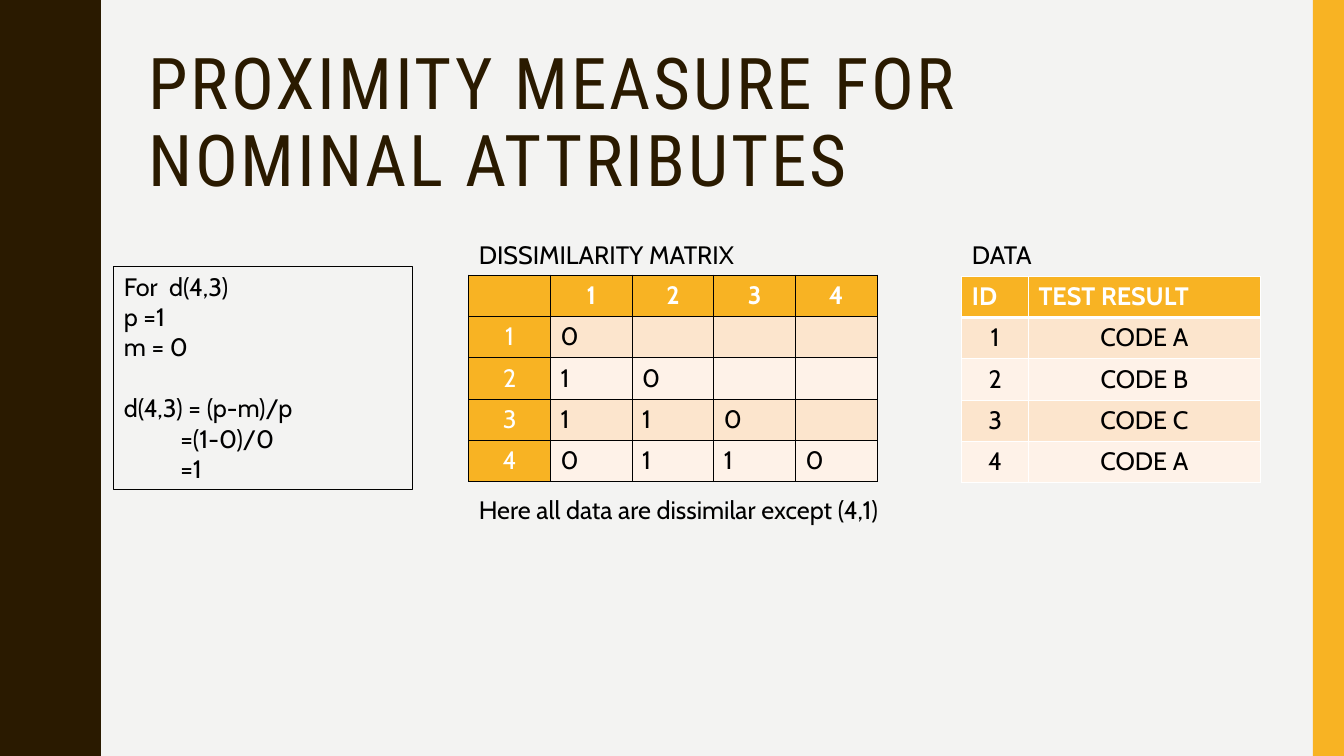
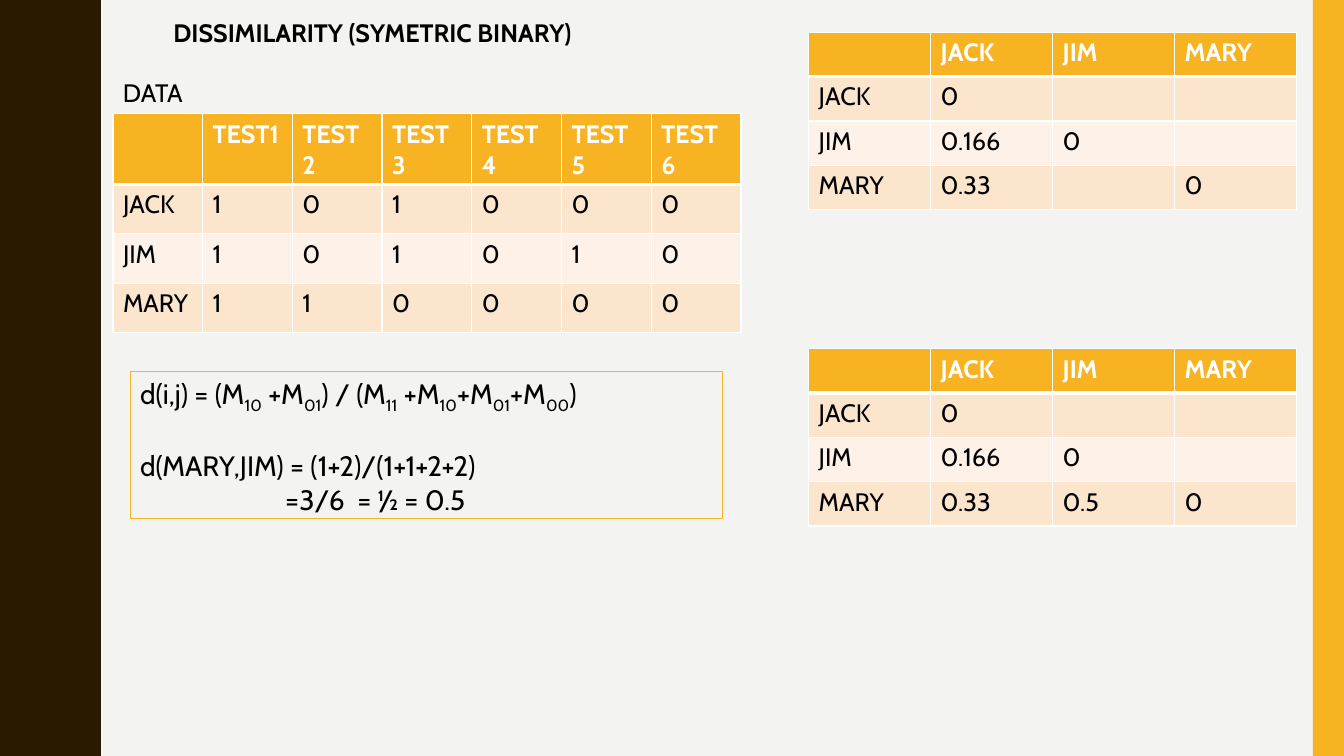
import dataclasses

import lxml.etree
import pptx
import pptx.dml.color
import pptx.enum.shapes
import pptx.enum.text
import pptx.oxml.ns
import pptx.util

Inches = pptx.util.Inches
Pt = pptx.util.Pt
ALIGN = pptx.enum.text.PP_ALIGN
ANCHOR = pptx.enum.text.MSO_ANCHOR
RECTANGLE = pptx.enum.shapes.MSO_SHAPE.RECTANGLE


@dataclasses.dataclass(frozen=True)
class Theme:
    page: str = "F3F3F2"
    dark: str = "2A1A00"
    accent: str = "F8B323"
    band_odd: str = "FCE5CD"
    band_even: str = "FEF2E8"
    black: str = "000000"
    white: str = "FFFFFF"
    title_font: str = "Roboto Condensed"
    body_font: str = "Cabin"
    title_size: int = 51
    body_size: int = 18
    formula_size: int = 20


THEME = Theme()
PAGE_WIDTH, PAGE_HEIGHT = 13.33, 7.5
WAVE_PERIOD = 1.5
HALF_WAVE = [(0.78, 0), (0.78, 0.07), (0.79, 0.14), (0.8, 0.2), (0.81, 0.25),
             (0.83, 0.29), (0.85, 0.33), (0.87, 0.38), (0.89, 0.42), (0.91, 0.46),
             (0.93, 0.5), (0.95, 0.55), (0.96, 0.61), (0.97, 0.68)]


def colour(value):
    return pptx.dml.color.RGBColor.from_string(value)


def paint(fill, value):
    fill.solid()
    fill.fore_color.rgb = colour(value)


def style_run(run, size=THEME.body_size, ink=THEME.black, bold=False, font=THEME.body_font):
    run.font.size = Pt(size)
    run.font.name = font
    run.font.bold = bold
    run.font.color.rgb = colour(ink)


def style_paragraph(para, **style):
    for run in para.runs:
        style_run(run, **style)


def add_side_bands(page):
    """Draw the wavy band on the left and the straight one on the right."""
    crest = WAVE_PERIOD / 2
    wave = HALF_WAVE + [(0.97, crest)] + [(x, WAVE_PERIOD - y) for x, y in HALF_WAVE[:0:-1]]
    periods = int(PAGE_HEIGHT / WAVE_PERIOD)
    edge = [(x, y + period * WAVE_PERIOD) for period in range(periods) for x, y in wave]
    edge += [(HALF_WAVE[0][0], PAGE_HEIGHT), (0, PAGE_HEIGHT)]
    builder = page.shapes.build_freeform(0, 0, scale=Inches(1))
    builder.add_line_segments(edge, close=True)
    wavy_band = builder.convert_to_shape()
    straight_band = page.shapes.add_shape(
        RECTANGLE, Inches(13.02), 0, Inches(0.31), Inches(PAGE_HEIGHT))
    for band, fill in ((wavy_band, THEME.dark), (straight_band, THEME.accent)):
        paint(band.fill, fill)
        band.line.fill.background()
        band.shadow.inherit = False


def add_page(deck):
    page = deck.slides.add_slide(deck.slide_layouts[6])
    add_side_bands(page)
    return page


def add_text(page, text, left, top, width, height=0.4, **style):
    box = page.shapes.add_textbox(Inches(left), Inches(top), Inches(width), Inches(height))
    box.text_frame.word_wrap = True
    box.text_frame.text = text
    style_paragraph(box.text_frame.paragraphs[0], **style)
    return box


def add_title(page, text):
    box = add_text(page, text, 1.37, 0.42, 11.13, 1.63, size=THEME.title_size,
                   ink=THEME.dark, font=THEME.title_font)
    box.text_frame.vertical_anchor = ANCHOR.MIDDLE
    para = box.text_frame.paragraphs[0]
    para.line_spacing = 0.9
    for run in para.runs:
        run.font._element.set("spc", "200")


def add_working_box(page, lines, left, top, width, height, outline, size, gap_before, indents):
    """Outline a calculation; text between underscores is set as subscript.

    gap_before is (line number, points); indents maps line numbers to inches.
    """
    box = page.shapes.add_shape(
        RECTANGLE, Inches(left), Inches(top), Inches(width), Inches(height))
    box.shadow.inherit = False
    box.fill.background()
    box.line.color.rgb = colour(outline)
    box.line.width = Pt(0.75)
    frame = box.text_frame
    frame.word_wrap = True
    frame.vertical_anchor = ANCHOR.TOP
    for number, line in enumerate(lines):
        para = frame.add_paragraph() if number else frame.paragraphs[0]
        para.alignment = ALIGN.LEFT
        for position, piece in enumerate(line.split("_")):
            run = para.add_run()
            run.text = piece
            style_run(run, size=size)
            if position % 2:
                run.font._element.set("baseline", "-25000")
        if number in indents:
            para._p.get_or_add_pPr().set("marL", str(Inches(indents[number])))
    gap_line, gap = gap_before
    frame.paragraphs[gap_line].space_before = Pt(gap)


def set_borders(cell, ink, top=1, bottom=1):
    properties = cell._tc.get_or_add_tcPr()
    qn = pptx.oxml.ns.qn
    for side, width in (("lnL", 1), ("lnR", 1), ("lnT", top), ("lnB", bottom)):
        line = lxml.etree.SubElement(properties, qn("a:" + side), w=str(Pt(width)))
        fill = lxml.etree.SubElement(line, qn("a:solidFill"))
        lxml.etree.SubElement(fill, qn("a:srgbClr"), val=ink)


def add_banded_table(page, rows, left, top, columns, heights, border=THEME.white,
                     rule=3, header_align=ALIGN.LEFT, body_align=ALIGN.LEFT,
                     header_column=False):
    """Add a table with a bold header row; rule is the line below that row, in points."""
    frame = page.shapes.add_table(len(rows), len(columns), Inches(left), Inches(top),
                                  Inches(sum(columns)), Inches(sum(heights)))
    table = frame.table
    table.first_row = table.horz_banding = False
    for column, width in zip(table.columns, columns):
        column.width = Inches(width)
    for row, height in zip(table.rows, heights):
        row.height = Inches(height)
    for r, values in enumerate(rows):
        for c in range(len(columns)):
            cell = table.cell(r, c)
            header = r == 0 or (header_column and c == 0)
            set_borders(cell, border, top=rule if r == 1 else 1, bottom=rule if r == 0 else 1)
            band = THEME.band_odd if r % 2 else THEME.band_even
            paint(cell.fill, THEME.accent if header else band)
            cell.text_frame.text = values[c] if c < len(values) else ""
            para = cell.text_frame.paragraphs[0]
            para.alignment = header_align if header else body_align
            style_paragraph(para, ink=THEME.white if header else THEME.black, bold=r == 0)


def build_nominal_page(deck):
    page = add_page(deck)
    add_title(page, "PROXIMITY MEASURE FOR NOMINAL ATTRIBUTES")
    matrix = [["", "1", "2", "3", "4"], ["1", "0"], ["2", "1", "0"],
              ["3", "1", "1", "0"], ["4", "0", "1", "1", "0"]]
    add_banded_table(page, matrix, 4.65, 2.73, [0.81] * 5, [0.41] * 5, border=THEME.black,
                     rule=1, header_align=ALIGN.CENTER, header_column=True)
    working = ["For  d(4,3)", "p =1", "m = 0", "d(4,3) = (p-m)/p", "=(1-0)/0", "=1"]
    add_working_box(page, working, 1.13, 2.64, 2.96, 2.22, THEME.black, THEME.body_size,
                    gap_before=(3, 22), indents={4: 0.56, 5: 0.56})
    add_text(page, "Here all data are dissimilar except (4,1)", 4.65, 4.86, 4.45)
    data = [["ID", "TEST RESULT"], ["1", "CODE A"], ["2", "CODE B"],
            ["3", "CODE C"], ["4", "CODE A"]]
    add_banded_table(page, data, 9.54, 2.74, [0.66, 2.3], [0.41] * 5, body_align=ALIGN.CENTER)
    add_text(page, "DISSIMILARITY MATRIX", 4.65, 2.33, 3.68)
    add_text(page, "DATA", 9.54, 2.33, 3.68)


def build_binary_page(deck):
    page = add_page(deck)
    names = ["JACK", "JIM", "MARY"]
    results = ["101000", "101010", "110000"]
    data = [[""] + [f"TEST{number}" for number in range(1, 7)]]
    data += [[name, *result] for name, result in zip(names, results)]
    add_banded_table(page, data, 1.12, 1.13, [0.89] * 7, [0.7] + [0.49] * 3)
    add_text(page, "DATA", 1.12, 0.72, 1.01)
    add_text(page, "DISSIMILARITY (SYMETRIC BINARY)", 1.62, 0.12, 5.45, bold=True)
    working = ["d(i,j) = (M_10_ +M_01_) / (M_11_ +M_10_+M_01_+M_00_)",
               "d(MARY,JIM) = (1+2)/(1+1+2+2)", "=3/6  = ½ = 0.5"]
    add_working_box(page, working, 1.29, 3.69, 5.88, 1.45, THEME.accent, THEME.formula_size,
                    gap_before=(1, 24), indents={2: 1.44})
    for top, mary_to_jim in ((0.32, ""), (3.46, "0.5")):
        matrix = [["", *names], ["JACK", "0"], ["JIM", "0.166", "0"],
                  ["MARY", "0.33", mary_to_jim, "0"]]
        add_banded_table(page, matrix, 8.02, top, [1.21] * 4, [0.44] * 4)


def main():
    deck = pptx.Presentation()
    deck.slide_width, deck.slide_height = Inches(PAGE_WIDTH), Inches(PAGE_HEIGHT)
    paint(deck.slide_master.background.fill, THEME.page)
    build_nominal_page(deck)
    build_binary_page(deck)
    deck.save("out.pptx")


if __name__ == "__main__":
    main()
